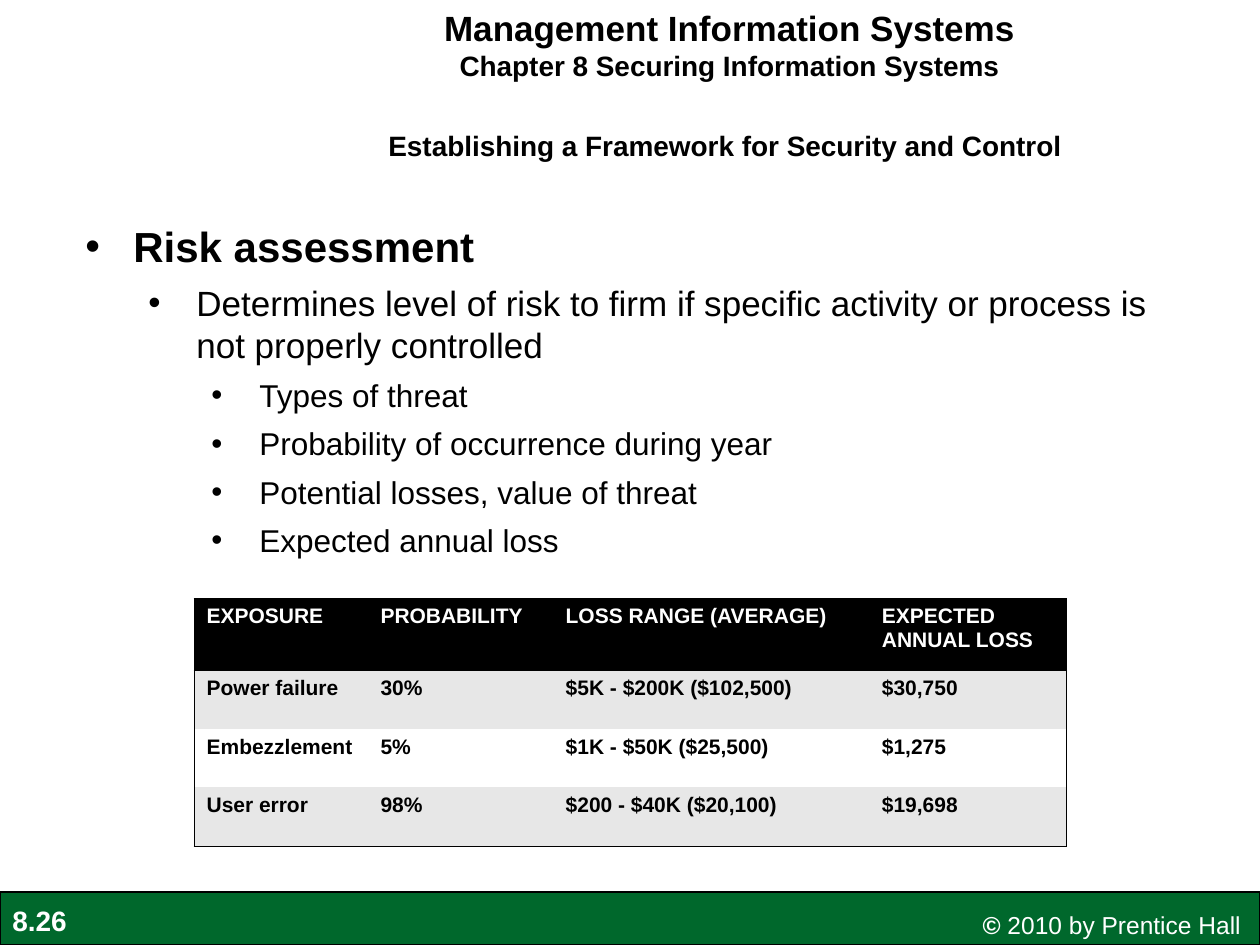
from lxml import etree
from pptx import Presentation
from pptx.dml.color import RGBColor
from pptx.enum import shapes, text
from pptx.oxml import ns
from pptx.util import Inches, Pt

BLACK, WHITE, GREEN, BAND = "000000", "FFFFFF", "00682C", "E7E7E7"

HEADING = [("Management Information Systems", 20), ("Chapter 8 Securing Information Systems", 16)]
SECTION = [("Establishing a Framework for Security and Control", 16)]
PAGE_NUMBER = [("8.26", 16)]
COPYRIGHT = [("©", True), (" 2010 by Prentice Hall", False)]
POINTS = [
    (0, "Risk assessment"),
    (1, "Determines level of risk to firm if specific activity or process is not properly controlled"),
    (2, "Types of threat"),
    (2, "Probability of occurrence during year"),
    (2, "Potential losses, value of threat"),
    (2, "Expected annual loss"),
]
POINT_SIZES = [24, 20, 18]
RISKS = [
    ("EXPOSURE", "PROBABILITY", "LOSS RANGE (AVERAGE)", "EXPECTED ANNUAL LOSS"),
    ("Power failure", "30%", "$5K - $200K ($102,500)", "$30,750"),
    ("Embezzlement", "5%", "$1K - $50K ($25,500)", "$1,275"),
    ("User error", "98%", "$200 - $40K ($20,100)", "$19,698"),
]
COLUMN_WIDTHS = [1.38, 1.47, 2.51, 1.56]
ROW_HEIGHTS = [0.57, 0.47, 0.46, 0.47]


def rgb(value):
    return RGBColor.from_string(value)


def style(font, size, color=BLACK, bold=True):
    font.name, font.size, font.bold = "Arial", Pt(size), bold
    font.color.rgb = rgb(color)


def add_element(parent, tag, **attributes):
    return etree.SubElement(parent, ns.qn(tag), attributes)


def add_frame(slide, left, top, width, height):
    frame = slide.shapes.add_textbox(*map(Inches, (left, top, width, height))).text_frame
    frame.word_wrap = True
    return frame


def paragraphs(frame, count):
    return [frame.paragraphs[0]] + [frame.add_paragraph() for _ in range(count - 1)]


def write_lines(frame, lines, color=BLACK, align=text.PP_ALIGN.CENTER):
    for paragraph, (line, size) in zip(paragraphs(frame, len(lines)), lines):
        paragraph.text = line
        paragraph.alignment = align
        style(paragraph.font, size, color)


def add_footer(slide):
    bar = slide.shapes.add_shape(
        shapes.MSO_SHAPE.RECTANGLE, *map(Inches, (0, 7.08, 10, 0.42)))
    bar.shadow.inherit = False
    bar.fill.solid()
    bar.fill.fore_color.rgb = rgb(GREEN)
    bar.line.color.rgb = rgb(BLACK)
    bar.line.width = Pt(0.75)
    write_lines(add_frame(slide, 0, 7.12, 0.76, 0.37), PAGE_NUMBER, WHITE, text.PP_ALIGN.LEFT)
    notice = add_frame(slide, 7.7, 7.17, 2.58, 0.34).paragraphs[0]
    for words, bold in COPYRIGHT:
        run = notice.add_run()
        run.text = words
        style(run.font, 14, WHITE, bold)


def add_points(slide):
    frame = add_frame(slide, 0.58, 1.75, 8.75, 3)
    frame.margin_top = 0
    for paragraph, (level, point) in zip(paragraphs(frame, len(POINTS)), POINTS):
        paragraph.text = point
        paragraph.level = level
        paragraph.space_after = Pt(6)
        properties = paragraph._p.get_or_add_pPr()
        properties.set("marL", str(Inches(0.38 + 0.5 * level)))
        properties.set("indent", str(-Inches(0.38)))
        add_element(add_element(properties, "a:buClr"), "a:srgbClr", val=BLACK)
        add_element(properties, "a:buFont", typeface="Arial")
        add_element(properties, "a:buChar", char="•")
        style(paragraph.font, POINT_SIZES[level], bold=level == 0)


def set_borders(cell, widths):
    properties = cell._tc.get_or_add_tcPr()
    for side, width in widths.items():
        line = add_element(properties, f"a:ln{side}", w=str(Pt(width)))
        if width:
            add_element(add_element(line, "a:solidFill"), "a:srgbClr", val=BLACK)
        else:
            add_element(line, "a:noFill")


def add_risk_table(slide):
    last_row, last_column = len(RISKS) - 1, len(COLUMN_WIDTHS) - 1
    table = slide.shapes.add_table(
        len(RISKS), len(COLUMN_WIDTHS), Inches(1.54), Inches(4.75),
        Inches(sum(COLUMN_WIDTHS)), Inches(sum(ROW_HEIGHTS))).table
    for column, width in zip(table.columns, COLUMN_WIDTHS):
        column.width = Inches(width)
    for r, (values, height) in enumerate(zip(RISKS, ROW_HEIGHTS)):
        table.rows[r].height = Inches(height)
        for c, value in enumerate(values):
            cell = table.cell(r, c)
            set_borders(cell, {
                "L": 0.45 if c == 0 else 0,
                "R": 0.45 if c == last_column else 0,
                "T": {0: 0.45, 1: 0.96}.get(r, 0),
                "B": {0: 0.96, last_row: 0.45}.get(r, 0),
            })
            cell.fill.solid()
            cell.fill.fore_color.rgb = rgb(BLACK if r == 0 else BAND if r % 2 else WHITE)
            paragraph = cell.text_frame.paragraphs[0]
            paragraph.text = value
            style(paragraph.font, 12, WHITE if r == 0 else BLACK)


def main():
    deck = Presentation()
    deck.slide_width, deck.slide_height = Inches(10), Inches(7.5)
    slide = deck.slides.add_slide(deck.slide_layouts[6])
    add_footer(slide)
    add_points(slide)
    add_risk_table(slide)
    heading = add_frame(slide, 1.58, 0.17, 8.42, 0.63)
    heading.vertical_anchor = text.MSO_ANCHOR.MIDDLE
    heading.margin_bottom = Inches(0.31)
    write_lines(heading, HEADING)
    write_lines(add_frame(slide, 2.13, 0.97, 7.25, 0.37), SECTION)
    deck.save("out.pptx")


if __name__ == "__main__":
    main()
